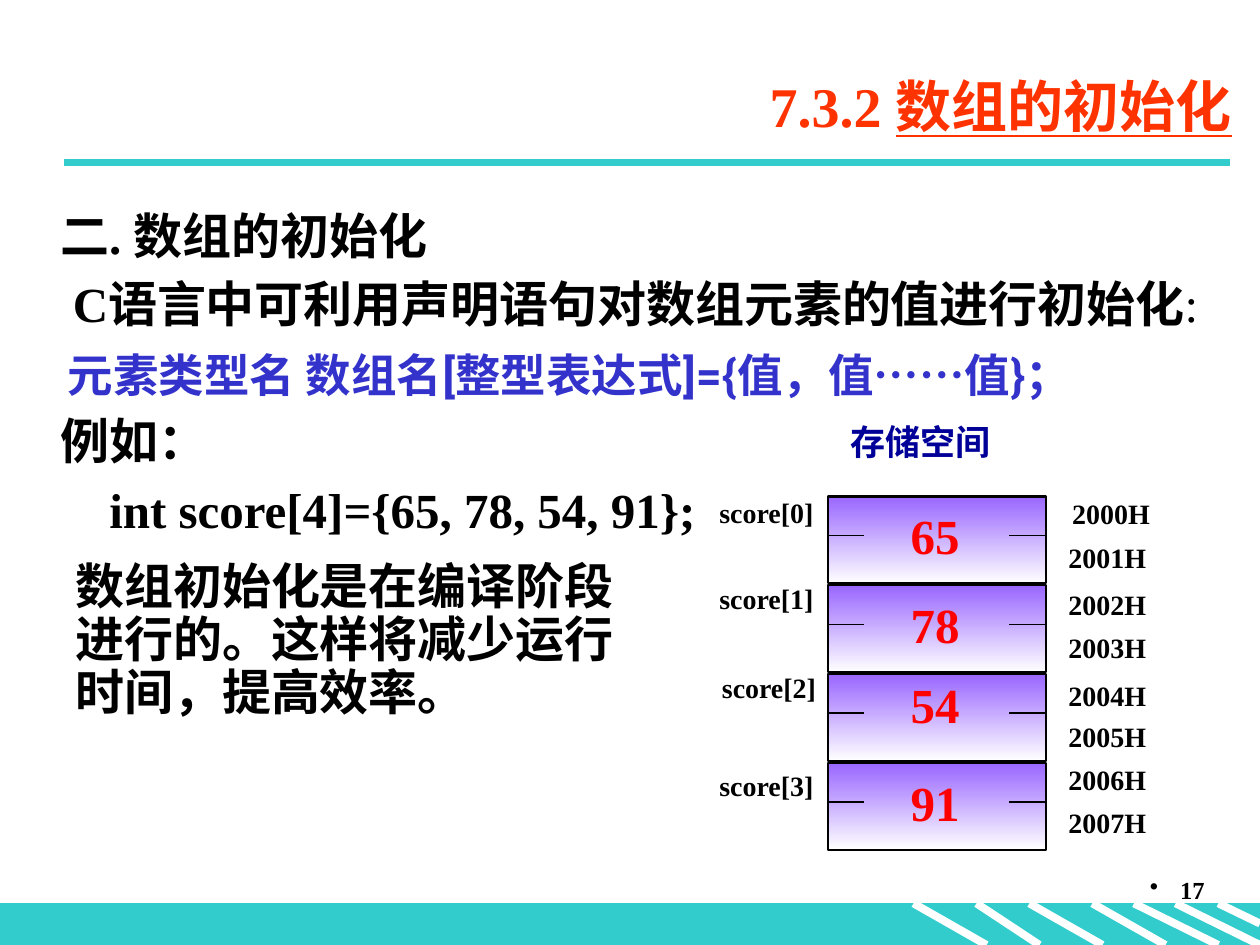
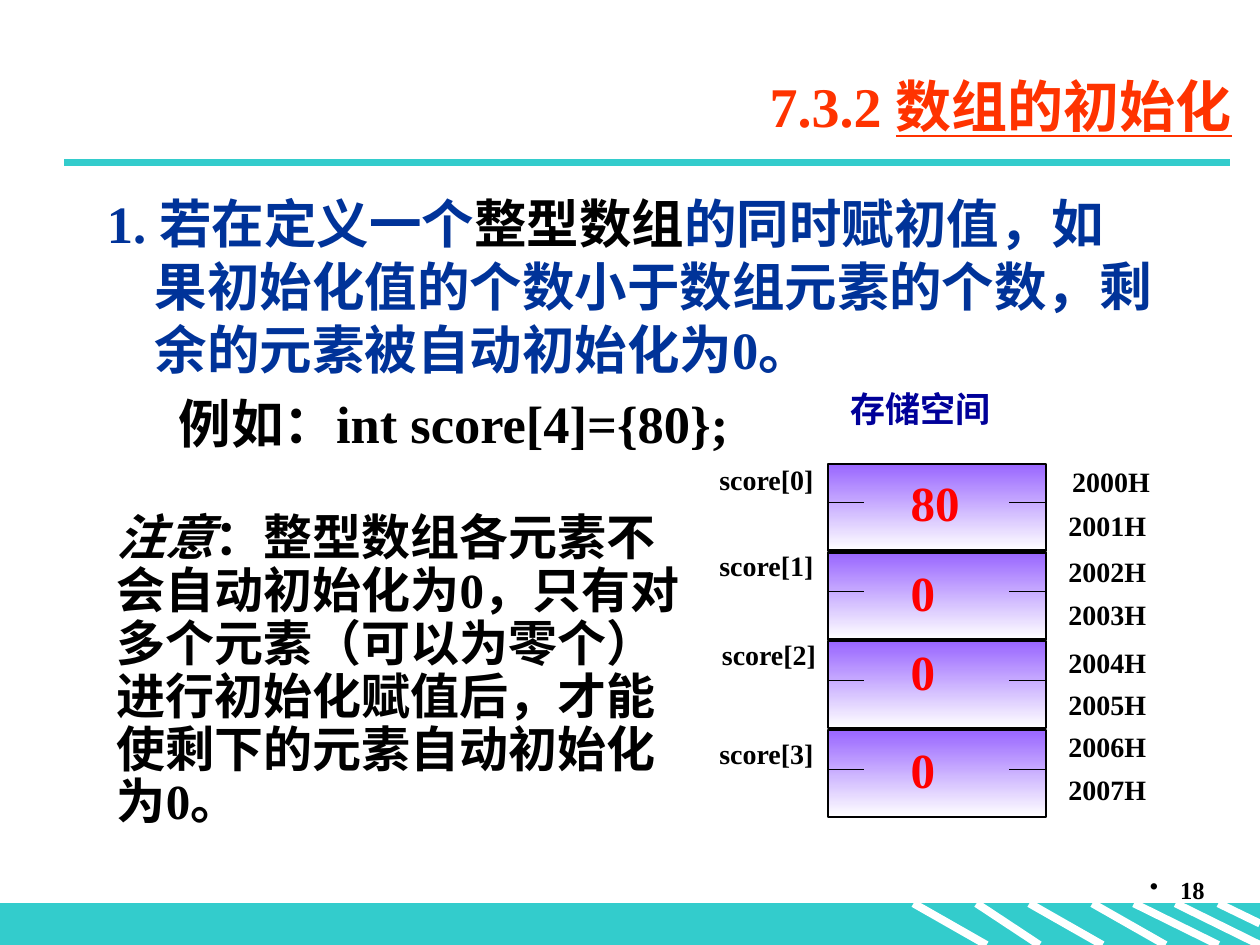
from lxml import etree
from pptx import Presentation
from pptx.dml.color import RGBColor
from pptx.enum.shapes import MSO_CONNECTOR, MSO_SHAPE
from pptx.enum.text import MSO_ANCHOR, PP_ALIGN
from pptx.oxml.ns import qn
from pptx.util import Inches, Pt

STRAIGHT = MSO_CONNECTOR.STRAIGHT
RECTANGLE = MSO_SHAPE.RECTANGLE
MIDDLE = MSO_ANCHOR.MIDDLE
LEFT, RIGHT = PP_ALIGN.LEFT, PP_ALIGN.RIGHT

COLOURS = {
    "band": "33CCCC", "white": "FFFFFF", "black": "000000", "title": "FF3300",
    "formula": "3333CC", "rule": "003399", "heading": "000099",
    "value": "FF0000", "cell": "9966FF",
}
SERIF, SANS, CJK = "Times New Roman", "Roboto", "Noto Sans CJK SC"
TIGHT, NORMAL = 1.08, 1.2  # line pitch as a multiple of the text size

# Footer stripes: x at the top, x at the bottom, y at the bottom
STRIPES = [(7.25, 7.83, 7.5), (7.75, 8.25, 7.5), (8.17, 8.75, 7.5),
           (8.67, 9.25, 7.5), (9, 9.67, 7.5), (9.33, 10, 7.5), (9.67, 10, 7.33)]

# Memory diagram: distances from the top of the first cell
CELL_LEFT, CELL_WIDTH, CELL_HEIGHT, CELL_PITCH = 6.57, 1.73, 0.69, 0.705
TICK_LENGTH, TICK_DROP = 0.29, 0.31
VALUE_DROPS = [0.07, 0.78, 1.41, 2.19]
ELEMENTS = [(5.71, 0.02), (5.71, 0.7), (5.73, 1.41), (5.71, 2.19)]
ADDRESS_DROPS = [0.03, 0.38, 0.75, 1.09, 1.47, 1.8, 2.14, 2.48]


def rgb(name):
    return RGBColor.from_string(COLOURS[name])


class Deck:
    def __init__(self):
        self.prs = Presentation()
        self.prs.slide_width, self.prs.slide_height = Inches(10), Inches(7.5)
        self.slide = None

    def new_slide(self, number):
        self.slide = self.prs.slides.add_slide(self.prs.slide_layouts[5])
        self.footer(number)
        self.title()

    def line(self, x1, y1, x2, y2, colour, width):
        line = self.slide.shapes.add_connector(
            STRAIGHT, Inches(x1), Inches(y1), Inches(x2), Inches(y2))
        line.line.color.rgb = rgb(colour)
        line.line.width = Pt(width)
        etree.SubElement(line._element.spPr, qn("a:effectLst"))

    def rect(self, x, y, w, h, outline, width):
        rect = self.slide.shapes.add_shape(
            RECTANGLE, Inches(x), Inches(y), Inches(w), Inches(h))
        rect.shadow.inherit = False
        rect.line.color.rgb = rgb(outline)
        rect.line.width = Pt(width)
        return rect

    def run(self, para, text, **changes):
        run = para.add_run()
        run.text = text
        look = {"name": SERIF, "size": 28, "bold": True, "colour": "black"} | changes
        look["size"] = Pt(look["size"])
        run.font.color.rgb = rgb(look.pop("colour"))
        for attribute, value in look.items():
            setattr(run.font, attribute, value)
        east_asian = etree.SubElement(run._r.get_or_add_rPr(), qn("a:ea"))
        east_asian.set("typeface", CJK)

    def paragraph(self, para, runs, size=28, pitch=TIGHT, before=0.0,
                  indent=0.0, hang=0.0, align=LEFT):
        """Runs are (text, changes to the look) pairs."""
        layout = {"alignment": align, "line_spacing": Pt(round(size * pitch, 1)),
                  "space_before": Pt(round(size * before, 1))}
        for attribute, value in layout.items():
            setattr(para, attribute, value)
        props = para._p.get_or_add_pPr()
        props.set("marL", str(Inches(indent)))
        props.set("indent", str(Inches(-hang)))
        for text, changes in runs:
            self.run(para, text, **({"size": size} | changes))

    def text(self, x, y, w, h, paragraphs, inset=True):
        """Paragraphs are (runs, paragraph settings) pairs."""
        frame = self.slide.shapes.add_textbox(
            Inches(x), Inches(y), Inches(w), Inches(h)).text_frame
        frame.word_wrap = True
        if not inset:
            for side in ("left", "top", "right", "bottom"):
                setattr(frame, f"margin_{side}", 0)
        for i, (runs, settings) in enumerate(paragraphs):
            para = frame.add_paragraph() if i else frame.paragraphs[0]
            self.paragraph(para, runs, **settings)
        return frame

    def label(self, x, y, w, h, text, size, colour="black", inset=True):
        self.text(x, y, w, h, [([(text, {"colour": colour})], {"size": size})], inset)

    def title(self):
        title = self.slide.shapes.title
        place = {"left": 1.38, "top": 0.44, "width": 8.5, "height": 0.79}
        for attribute, value in place.items():
            setattr(title, attribute, Inches(value))
        title.text_frame.vertical_anchor = MIDDLE
        para = title.text_frame.paragraphs[0]
        para.alignment = RIGHT
        self.run(para, "7.3.2 ", size=32, colour="title")
        self.run(para, "数组的初始化", size=32, colour="title", underline=True)

    def footer(self, number):
        band = self.rect(0, 7.17, 10, 0.33, "band", 0.75)
        band.fill.solid()
        band.fill.fore_color.rgb = rgb("band")
        for top_x, bottom_x, bottom_y in STRIPES:
            self.line(top_x, 7.17, bottom_x, bottom_y, "white", 4.5)
        self.line(0.51, 1.29, 9.76, 1.29, "band", 4.5)
        # Bulleted page number
        frame = self.text(7.58, 6.92, 2.08, 0.5, [([(str(number), {})], {
            "size": 14, "align": RIGHT, "indent": 0.24, "hang": 0.24})])
        props = frame.paragraphs[0]._p.get_or_add_pPr()
        etree.SubElement(props, qn("a:buChar")).set("char", "•")

    def memory(self, top, values):
        self.label(6.65, top - 0.62, 2.36, 0.43, "存储空间", 20, "heading")
        # Cells with their ticks
        for i in range(len(values)):
            y = top + i * CELL_PITCH
            cell = self.rect(CELL_LEFT, y, CELL_WIDTH, CELL_HEIGHT, "black", 1.25)
            cell.fill.gradient()
            cell.fill.gradient_angle = 270
            for stop, colour in zip(cell.fill.gradient_stops, ("cell", "white")):
                stop.color.rgb = rgb(colour)
            for x in (CELL_LEFT, CELL_LEFT + CELL_WIDTH - TICK_LENGTH):
                self.line(x, y + TICK_DROP, x + TICK_LENGTH, y + TICK_DROP, "black", 0.75)
        # Values, element names and addresses
        for value, drop in zip(values, VALUE_DROPS):
            self.label(7.13, top + drop, 0.87, 0.57, str(value), 28, "value")
        for i, (x, drop) in enumerate(ELEMENTS):
            self.label(x, top + drop, 0.8, 0.27, f"score[{i}]", 16, inset=False)
        for i, drop in enumerate(ADDRESS_DROPS):
            x = 8.48 if i else 8.51
            self.label(x, top + drop, 1.22, 0.27, f"{2000 + i}H", 16, inset=False)


def syntax_slide(deck):
    deck.new_slide(17)
    body = {"pitch": NORMAL, "before": 0.2}
    formula = {"size": 26, "colour": "formula", "name": SANS}
    deck.text(0.38, 1.58, 9.23, 5, [
        ([("二. 数组的初始化", {})], body),
        ([("C语言中可利用声明语句对数组元素的值进行初始化", {}),
          (":", {"bold": False})], body | {"indent": 0.1}),
        ([("元素类型名 数组名[整型表达式]={值，值", formula),
          ("……", formula | {"name": CJK}),
          ("值}；", formula)], body | {"indent": 0.06}),
        ([("例如：", {})], body),
        ([("int score[4]={65, 78, 54, 91};", {})], body | {"indent": 0.39}),
    ])
    deck.text(0.5, 4.41, 4.66, 2.2, [
        ([("数组初始化是在编译阶段进行的。这样将减少运行时间，提高效率。", {})], {})])
    deck.memory(3.94, [65, 78, 54, 91])


def partial_slide(deck):
    deck.new_slide(18)
    body = {"size": 30, "pitch": NORMAL, "before": 0.2}
    deck.text(0.75, 1.47, 8.5, 2.3, [
        ([("1. 若在定义一个", {"colour": "rule"}),
          ("整型数组", {}),
          ("的同时赋初值，如果初始化值的个数小于数组元素的个数，"
           "剩余的元素被自动初始化为0。", {"colour": "rule"})],
         body | {"indent": 0.38, "hang": 0.38}),
        ([("例如：int score[4]={80};", {})], body | {"indent": 0.57}),
    ])
    deck.memory(3.68, [80, 0, 0, 0])
    deck.text(0.83, 4.02, 4.72, 2.65, [
        ([("注意", {"italic": True}),
          ("：整型数组各元素不会自动初始化为0，只有对多个元素（可以为零个）"
           "进行初始化赋值后，才能使剩下的元素自动初始化为0。", {})], {})])


def main():
    deck = Deck()
    syntax_slide(deck)
    partial_slide(deck)
    deck.prs.save("out.pptx")


if __name__ == "__main__":
    main()
